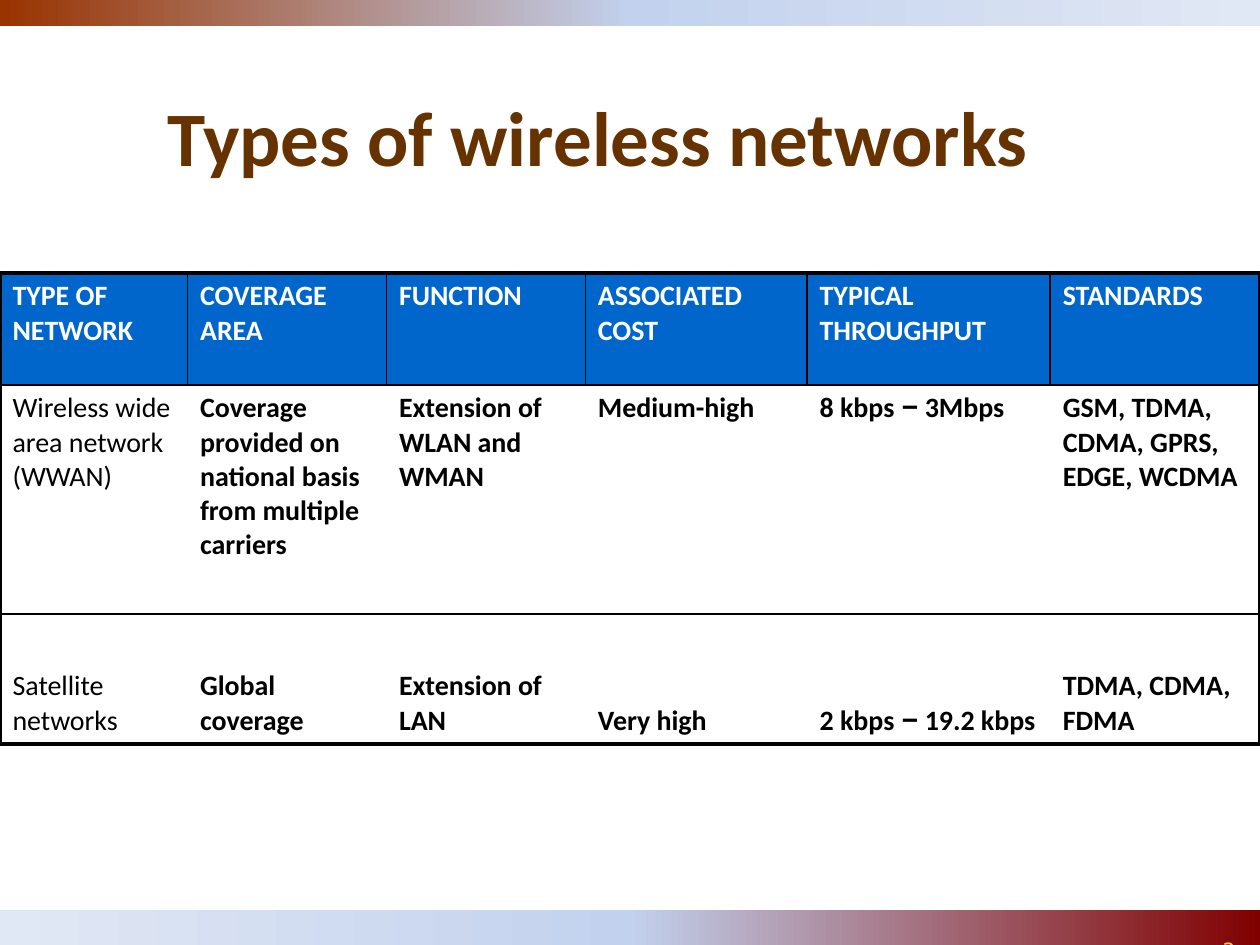
from copy import deepcopy

from pptx import Presentation
from pptx.dml.color import RGBColor
from pptx.enum.shapes import MSO_SHAPE
from pptx.enum.text import MSO_ANCHOR, PP_ALIGN
from pptx.oxml import parse_xml
from pptx.oxml.ns import nsdecls, qn
from pptx.util import Cm, Pt

RECTANGLE = MSO_SHAPE.RECTANGLE
TOP, MIDDLE, BOTTOM = MSO_ANCHOR.TOP, MSO_ANCHOR.MIDDLE, MSO_ANCHOR.BOTTOM
CENTER, RIGHT = PP_ALIGN.CENTER, PP_ALIGN.RIGHT

WHITE = RGBColor(0xFF, 0xFF, 0xFF)
BLACK = RGBColor(0, 0, 0)
BROWN = RGBColor(0x66, 0x33, 0x00)
RUST = RGBColor(0x99, 0x33, 0x00)
MAROON = RGBColor(0x80, 0x00, 0x00)
PALE_BLUE = RGBColor(0xC2, 0xD1, 0xED)
MIST = RGBColor(0xE1, 0xE8, 0xF5)
HEADER_BLUE = RGBColor(0x00, 0x66, 0xCC)
GOLD = RGBColor(0xFF, 0xCC, 0x66)

TITLE_FONT = {"name": "Calibri", "size": Pt(44), "bold": True}
CELL_FONT = {"name": "Calibri", "size": Pt(16), "bold": True}
NUMBER_FONT = {"name": "DejaVu Sans Mono", "size": Pt(12)}
DASH = "–"
DASH_FONT = "Roboto"

THIN, THICK = 1, 2.25
COLUMN_WIDTHS = [3.78, 4.01, 4.01, 4.47, 4.9, 4.23]
ROW_HEIGHTS = [2.26, 4.62, 2.62]
ROW_ANCHORS = [TOP, TOP, BOTTOM]
NETWORKS = [
    ["TYPE OF NETWORK", "COVERAGE AREA", "FUNCTION", "ASSOCIATED COST",
     "TYPICAL THROUGHPUT", "STANDARDS"],
    ["Wireless wide area network (WWAN)",
     "Coverage provided on national basis from multiple carriers",
     "Extension of WLAN and WMAN", "Medium-high", "8 kbps – 3Mbps",
     "GSM, TDMA, CDMA, GPRS, EDGE, WCDMA"],
    ["Satellite networks", "Global coverage", "Extension of LAN", "Very high",
     "2 kbps – 19.2 kbps", "TDMA, CDMA, FDMA"],
]


def cm_box(*lengths):
    return [Cm(length) for length in lengths]


def format_font(font, values, color):
    for attribute, value in values.items():
        setattr(font, attribute, value)
    font.color.rgb = color


def add_band(slide, box, start_color, angle):
    """Three-colour band across the slide."""
    band = slide.shapes.add_shape(RECTANGLE, *box)
    band.shadow.inherit = False
    band.line.fill.background()
    band.fill.gradient()
    band.fill.gradient_angle = angle
    stop_list = next(band._element.iter(qn("a:gsLst")))
    stop_list.append(deepcopy(stop_list[0]))
    colors = (start_color, PALE_BLUE, MIST)
    for stop, position, color in zip(band.fill.gradient_stops, (0, 0.5, 1), colors):
        stop.position = position
        stop.color.rgb = color


def add_page_number(slide, box, number):
    number_box = slide.shapes.add_textbox(*box)
    frame = number_box.text_frame
    frame.word_wrap = True
    frame.margin_top, frame.margin_right = Cm(0.62), Cm(0.5)
    paragraph = frame.paragraphs[0]
    paragraph.alignment = RIGHT
    run = paragraph.add_run()
    run.text = number
    format_font(run.font, NUMBER_FONT, GOLD)


def fill_title(slide, box, text):
    title = slide.shapes.title
    title.left, title.top, title.width, title.height = box
    title.text_frame.text = text
    title.text_frame.vertical_anchor = MIDDLE
    paragraph = title.text_frame.paragraphs[0]
    paragraph.alignment = CENTER
    format_font(paragraph.runs[0].font, TITLE_FONT, BROWN)


def set_borders(cell, widths):
    """Draw the sides L, R, T and B; a width of 0 hides a side."""
    properties = cell._tc.get_or_add_tcPr()
    for side, width in widths.items():
        paint = (f'<a:solidFill><a:srgbClr val="{BLACK}"/></a:solidFill>'
                 if width else "<a:noFill/>")
        properties.append(parse_xml(
            f'<a:ln{side} {nsdecls("a")} w="{Pt(width)}">{paint}</a:ln{side}>'))


def write_cell(cell, text, bold, color):
    paragraph = cell.text_frame.paragraphs[0]
    for part in text.partition(DASH):
        if part:
            run = paragraph.add_run()
            run.text = part
            format_font(run.font, CELL_FONT, color)
            run.font.bold = bold
            if part == DASH:
                run.font.name = DASH_FONT


def add_network_table(slide, box):
    last_row, last_column = len(ROW_HEIGHTS) - 1, len(COLUMN_WIDTHS) - 1
    table = slide.shapes.add_table(last_row + 1, last_column + 1, *box).table
    table.first_row = table.horz_banding = False
    for column, width in zip(table.columns, COLUMN_WIDTHS):
        column.width = Cm(width)
    for row, height in zip(table.rows, ROW_HEIGHTS):
        row.height = Cm(height)

    for r, texts in enumerate(NETWORKS):
        is_header = r == 0
        inner = THIN if is_header else 0  # only the header has column rules
        for c, text in enumerate(texts):
            cell = table.cell(r, c)
            set_borders(cell, {
                "L": THICK if c == 0 else inner,
                "R": THICK if c == last_column else inner,
                "T": THICK if is_header else THIN,
                "B": THICK if r == last_row else THIN,
            })
            if is_header:
                cell.fill.solid()
                cell.fill.fore_color.rgb = HEADER_BLUE
            else:
                cell.fill.background()
            cell.vertical_anchor = ROW_ANCHORS[r]
            write_cell(cell, text, is_header or c > 0, WHITE if is_header else BLACK)


def main():
    presentation = Presentation()
    presentation.slide_width, presentation.slide_height = Cm(25.4), Cm(19.05)
    slide = presentation.slides.add_slide(presentation.slide_layouts[5])

    # Bands and page number
    add_band(slide, cm_box(0, 18.34, 25.4, 0.71), MAROON, 180)
    add_page_number(slide, cm_box(18.8, 18.29, 6.6, 0.76), "3")
    add_band(slide, cm_box(0, 0, 25.4, 0.53), RUST, 0)

    # Title and table
    fill_title(slide, cm_box(0.84, 1.47, 22.43, 2.54), "Types of wireless networks")
    add_network_table(slide, cm_box(0, 5.5, 25.4, sum(ROW_HEIGHTS)))

    presentation.save("out.pptx")


if __name__ == "__main__":
    main()
